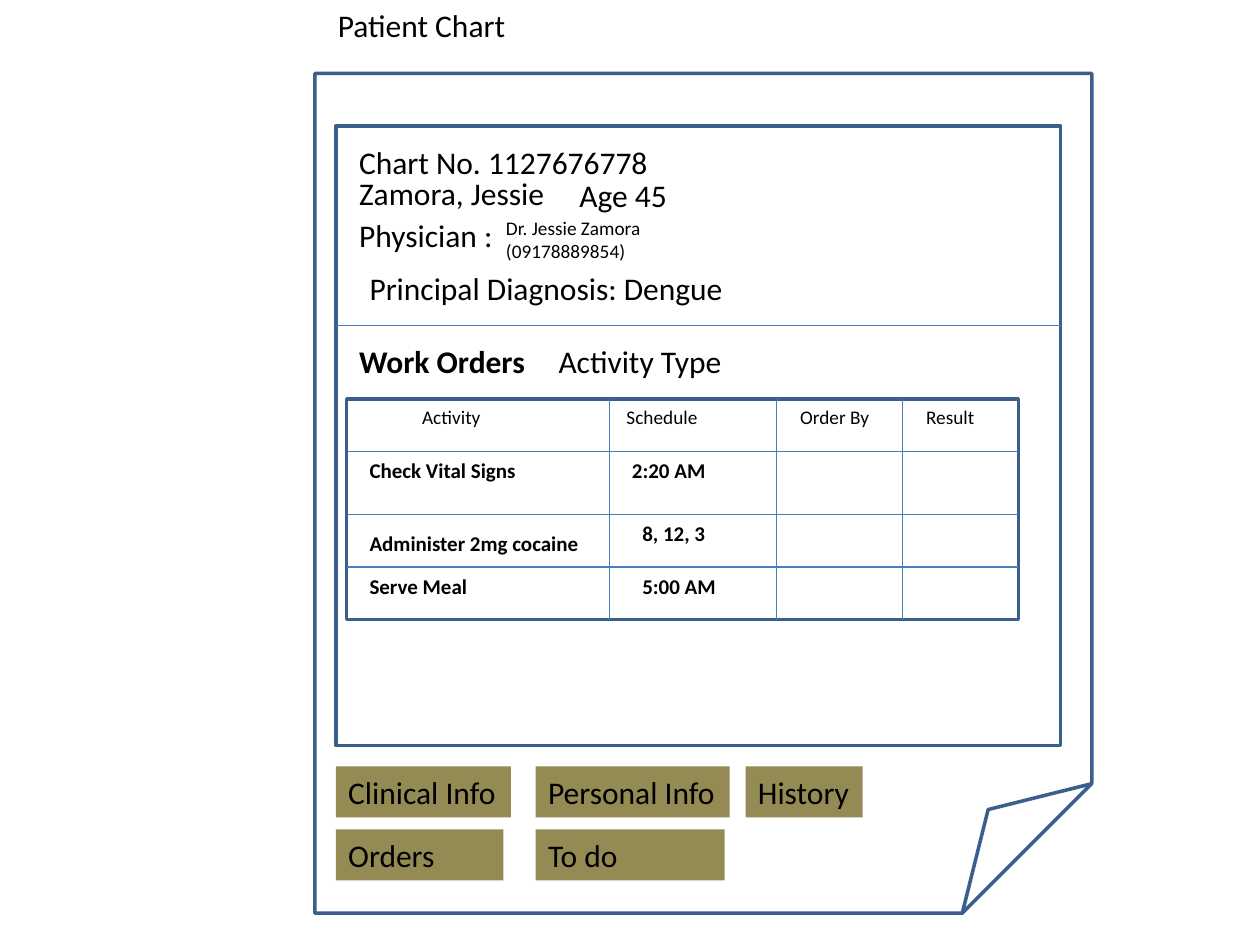
from dataclasses import dataclass

import lxml.etree
import pptx
import pptx.dml.color
import pptx.enum.shapes
import pptx.enum.text
import pptx.oxml.ns
import pptx.shapes.autoshape
import pptx.slide
import pptx.util

Cm = pptx.util.Cm
Pt = pptx.util.Pt
RGBColor = pptx.dml.color.RGBColor
Shape = pptx.enum.shapes.MSO_SHAPE

BLACK = RGBColor(0x00, 0x00, 0x00)
OUTLINE_BLUE = RGBColor(0x3A, 0x5F, 0x8C)
RULE_BLUE = RGBColor(0x4B, 0x7E, 0xBC)
BUTTON_OLIVE = RGBColor(0x94, 0x8A, 0x54)

FONT = "Calibri"
LINE_HEIGHT = {18: 1.03, 12: 0.77, 11: 0.73}


@dataclass(frozen=True)
class Box:
    left: float
    top: float
    width: float
    height: float

    @property
    def right(self) -> float:
        return self.left + self.width

    @property
    def bottom(self) -> float:
        return self.top + self.height

    def lengths(self) -> tuple:
        return Cm(self.left), Cm(self.top), Cm(self.width), Cm(self.height)


@dataclass(frozen=True)
class Label:
    lines: tuple[str, ...]
    left: float
    top: float
    width: float
    size: int = 18
    bold: bool = False
    height: float = 0
    wrap: bool = False

    def box(self) -> Box:
        return Box(self.left, self.top, self.width, self.height or LINE_HEIGHT[self.size])


PAGE = Box(6.35, 1.48, 15.66, 16.93)
RECORD = Box(6.77, 2.54, 14.61, 12.49)
ORDERS_GRID = Box(6.99, 8.04, 13.54, 4.45)
DIAGNOSIS_RULE = 6.56
ROW_RULES = (9.1, 10.37, 11.43)
COLUMN_RULES = (12.28, 15.66, 18.2)

PATIENT_LABELS = (
    Label(("Patient Chart",), 6.56, 0, 3.94),
    Label(("Chart No. 1127676778",), 6.99, 2.75, 6.4),
    Label(("Zamora, Jessie",), 6.99, 3.39, 4.29),
    Label(("Age 45",), 11.43, 3.43, 2.29),
    Label(("Physician :",), 6.99, 4.23, 3.38),
    Label(("Dr. Jessie Zamora", "(09178889854)"), 9.95, 4.23, 3.38, 11, height=1.2),
    Label(("Principal Diagnosis: Dengue",), 7.2, 5.29, 7.87),
    Label(("Work Orders",), 6.99, 6.77, 4.04, bold=True),
    Label(("Activity Type",), 11.01, 6.77, 3.84),
)

ORDER_LABELS = (
    Label(("Activity",), 8.26, ORDERS_GRID.top, 1.7, 11),
    Label(("Schedule",), 12.38, ORDERS_GRID.top, 2.64, 11, wrap=True),
    Label(("Order By",), 15.88, ORDERS_GRID.top, 1.93, 11),
    Label(("Result",), 18.42, ORDERS_GRID.top, 1.5, 11),
    Label(("Check Vital Signs",), 7.2, ROW_RULES[0], 3.78, 12, True),
    Label(("2:20 AM",), 12.49, ROW_RULES[0], 2.01, 12, True),
    Label(("Administer 2mg cocaine",), 7.2, 10.58, 4.78, 12, True),
    Label(("8, 12, 3",), 12.7, ROW_RULES[1], 1.8, 12, True),
    Label(("Serve Meal",), 7.2, ROW_RULES[2], 2.49, 12, True),
    Label(("5:00 AM",), 12.7, ROW_RULES[2], 2.01, 12, True),
)

BUTTONS = (
    Label(("Clinical Info",), RECORD.left, 15.45, 3.53),
    Label(("Personal Info",), 10.8, 15.45, 3.91),
    Label(("History",), 15.03, 15.45, 2.36),
    Label(("Orders",), RECORD.left, 16.72, 3.38, wrap=True),
    Label(("To do",), 10.8, 16.72, 3.81, wrap=True),
)


def draw_outline(slide: pptx.slide.Slide, preset: Shape, box: Box) -> None:
    outline = slide.shapes.add_shape(preset, *box.lengths())
    outline.shadow.inherit = False
    outline.fill.background()
    outline.line.color.rgb = OUTLINE_BLUE
    outline.line.width = Pt(2)


def draw_rule(slide: pptx.slide.Slide, x1: float, y1: float, x2: float, y2: float) -> None:
    rule = slide.shapes.add_connector(
        pptx.enum.shapes.MSO_CONNECTOR.STRAIGHT, Cm(x1), Cm(y1), Cm(x2), Cm(y2)
    )
    rule.line.color.rgb = RULE_BLUE
    rule.line.width = Pt(0.75)
    lxml.etree.SubElement(rule._element.spPr, pptx.oxml.ns.qn("a:effectLst"))


def write_label(holder: pptx.shapes.autoshape.Shape, label: Label) -> None:
    frame = holder.text_frame
    frame.word_wrap = label.wrap
    frame.auto_size = pptx.enum.text.MSO_AUTO_SIZE.SHAPE_TO_FIT_TEXT
    frame.vertical_anchor = pptx.enum.text.MSO_ANCHOR.TOP
    for index, line in enumerate(label.lines):
        paragraph = frame.add_paragraph() if index else frame.paragraphs[0]
        paragraph.alignment = pptx.enum.text.PP_ALIGN.LEFT
        run = paragraph.add_run()
        run.text = line
        run.font.name = FONT
        run.font.size = Pt(label.size)
        run.font.bold = label.bold
        run.font.color.rgb = BLACK


def draw_label(slide: pptx.slide.Slide, label: Label) -> None:
    write_label(slide.shapes.add_textbox(*label.box().lengths()), label)


def draw_button(slide: pptx.slide.Slide, label: Label) -> None:
    button = slide.shapes.add_shape(Shape.RECTANGLE, *label.box().lengths())
    button.shadow.inherit = False
    button.fill.solid()
    button.fill.fore_color.rgb = BUTTON_OLIVE
    button.line.fill.background()
    write_label(button, label)


def main() -> None:
    presentation = pptx.Presentation()
    presentation.slide_width = Cm(25.4)
    presentation.slide_height = Cm(19.05)
    slide = presentation.slides.add_slide(presentation.slide_layouts[6])

    draw_outline(slide, Shape.FOLDED_CORNER, PAGE)
    draw_outline(slide, Shape.RECTANGLE, RECORD)
    draw_rule(slide, RECORD.left, DIAGNOSIS_RULE, RECORD.right, DIAGNOSIS_RULE)

    draw_outline(slide, Shape.RECTANGLE, ORDERS_GRID)
    for y in ROW_RULES:
        draw_rule(slide, ORDERS_GRID.left, y, ORDERS_GRID.right, y)
    for x in COLUMN_RULES:
        draw_rule(slide, x, ORDERS_GRID.top, x, ORDERS_GRID.bottom)

    for label in PATIENT_LABELS + ORDER_LABELS:
        draw_label(slide, label)
    for button in BUTTONS:
        draw_button(slide, button)

    presentation.save("out.pptx")


if __name__ == "__main__":
    main()
